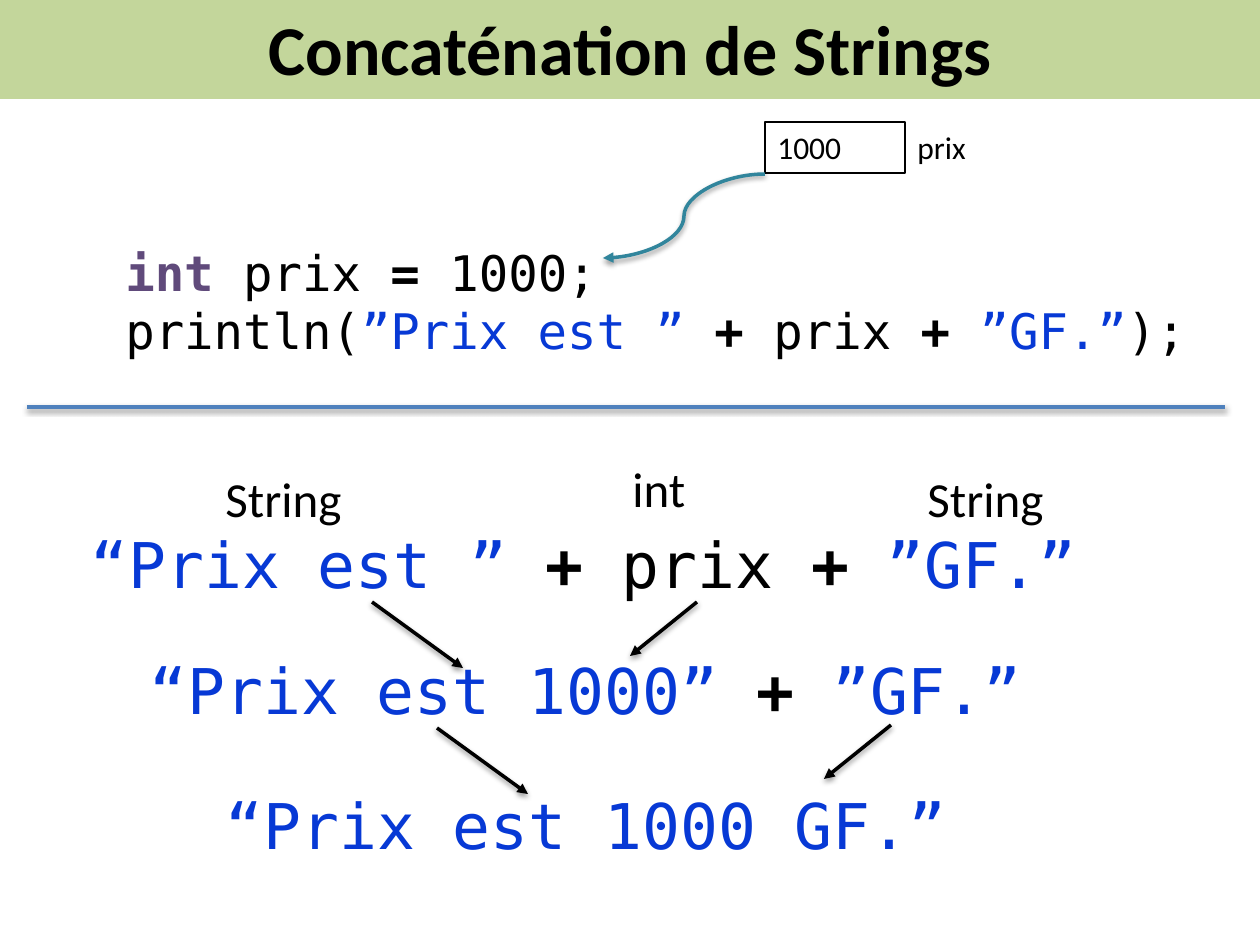
"""Build a slide that explains string concatenation step by step."""
from lxml import etree
from pptx import Presentation
from pptx.dml.color import RGBColor as RGB
from pptx.enum.shapes import MSO_CONNECTOR as LINK, MSO_SHAPE as SHAPE
from pptx.enum.text import MSO_ANCHOR as ANCHOR, PP_ALIGN as ALIGN
from pptx.oxml.ns import qn
from pptx.util import Pt

PX = 914400 / 126
COLORS = {"band": "C3D69B", "black": "000000", "keyword": "604A7B",
          "string": "0739D5", "curve": "31859C", "divider": "4F81BD"}
MONO, SANS = "DejaVu Sans Mono", "Calibri"


def write(box, lines, size, font):
    frame = box.text_frame
    frame.word_wrap = True
    for index, line in enumerate(lines):
        para = frame.paragraphs[0] if index == 0 else frame.add_paragraph()
        para.alignment = ALIGN.LEFT
        for text, color, bold in line:
            span = para.add_run()
            span.text = text
            span.font.size = Pt(size)
            span.font.name = font
            span.font.bold = bold
            span.font.color.rgb = RGB.from_string(COLORS[color])


def connect(kind, ends, color, arrow):
    link = page.shapes.add_connector(kind, *[round(v * PX) for v in ends])
    link.line.color.rgb = RGB.from_string(COLORS[color])
    link.line.width = Pt(2)
    if arrow:
        etree.SubElement(link.line._get_or_add_ln(), qn("a:tailEnd"), type="triangle")
    effects = etree.SubElement(link._element.spPr, qn("a:effectLst"))
    shadow = etree.SubElement(effects, qn("a:outerShdw"), blurRad="40000",
                              dist="20000", dir="5400000", rotWithShape="0")
    tint = etree.SubElement(shadow, qn("a:srgbClr"), val=COLORS["black"])
    etree.SubElement(tint, qn("a:alpha"), val="38000")


deck = Presentation()
deck.slide_width, deck.slide_height = round(1260 * PX), round(945 * PX)
page = deck.slides.add_slide(deck.slide_layouts[5])

title = page.shapes.title
title.left, title.top, title.width, title.height = [round(v * PX) for v in (0, -4, 1260, 103)]
title.fill.solid()
title.fill.fore_color.rgb = RGB.from_string(COLORS["band"])
title.text_frame.vertical_anchor = ANCHOR.MIDDLE
write(title, [[("Concaténation de Strings", "black", True)]], 40, SANS)
title.text_frame.paragraphs[0].alignment = ALIGN.CENTER

plus = (" + ", "black", True)
variable = ("prix", "black", False)
currency = ("”GF.”", "string", False)
code = [
    [("int", "keyword", True), (" prix", "black", False),
     (" = ", "black", True), ("1000;", "black", False)],
    [("println(", "black", False), ("”Prix est ”", "string", False), plus,
     variable, plus, currency, (");", "black", False)],
]
first_step = [("“Prix est ”", "string", False), plus, variable, plus, currency]
second_step = [("“Prix est 1000”", "string", False), plus, currency]
result = [("“Prix est 1000 GF.”", "string", False)]

texts = [
    ((113, 236, 1096, 530), code, 28, MONO),
    ((905, 122, 140, 51), [[variable]], 18, SANS),
    ((78, 519, 1050, 165), [first_step], 36, MONO),
    ((213, 462, 184, 72), [[("String", "black", False)]], 28, SANS),
    ((620, 452, 184, 72), [[("int", "black", False)]], 28, SANS),
    ((915, 462, 184, 72), [[("String", "black", False)]], 28, SANS),
    ((137, 645, 1050, 165), [second_step], 36, MONO),
    ((213, 780, 1050, 165), [result], 36, MONO),
]
for place, lines, size, font in texts:
    box = page.shapes.add_textbox(*[round(v * PX) for v in place])
    write(box, lines, size, font)

memory = page.shapes.add_shape(SHAPE.RECTANGLE, *[round(v * PX) for v in (765, 122, 140, 51)])
memory.shadow.inherit = False
memory.fill.background()
memory.line.color.rgb = RGB.from_string(COLORS["black"])
memory.line.width = Pt(0.75)
memory.text_frame.vertical_anchor = ANCHOR.TOP
write(memory, [[("1000", "black", False)]], 18, SANS)

connect(LINK.CURVE, (765, 174, 603, 258), "curve", True)
connect(LINK.STRAIGHT, (27, 407, 1225, 407), "divider", False)
for x, y, dx, dy in [(372, 602, 91, 66), (697, 602, -67, 54),
                     (437, 728, 91, 66), (891, 725, -67, 54)]:
    connect(LINK.STRAIGHT, (x, y, x + dx, y + dy), "black", True)

deck.save("out.pptx")
